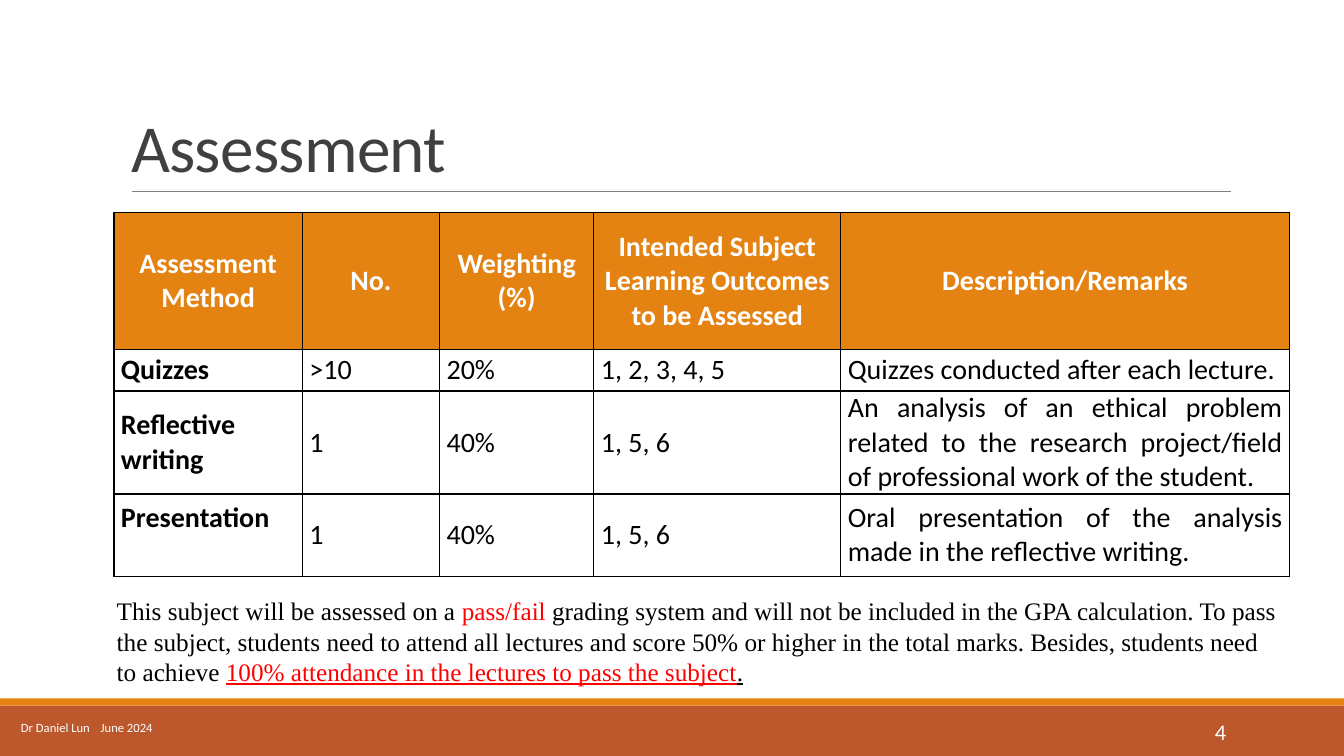
from lxml.etree import SubElement
from pptx import Presentation
from pptx.dml.color import RGBColor
from pptx.enum.shapes import MSO_CONNECTOR, MSO_SHAPE
from pptx.enum.text import MSO_ANCHOR, MSO_AUTO_SIZE, PP_ALIGN
from pptx.oxml.ns import qn
from pptx.util import Inches, Pt


def rgb(value):
    return RGBColor.from_string(value)


def style(r, size, color, font="Calibri", bold=False):
    r.font.size = Pt(size)
    r.font.name = font
    r.font.bold = bold
    r.font.color.rgb = rgb(color)


prs = Presentation()
prs.slide_width = Inches(13.33)
prs.slide_height = Inches(7.5)
s = prs.slides.add_slide(prs.slide_layouts[5])

for top, height, color in [(7, 0.5, "BD582C"), (6.93, 0.07, "E48312")]:
    sp = s.shapes.add_shape(MSO_SHAPE.RECTANGLE, 0, Inches(top), prs.slide_width, Inches(height))
    sp.shadow.inherit = False
    sp.fill.solid()
    sp.fill.fore_color.rgb = rgb(color)
    sp.line.fill.background()

rule = s.shapes.add_connector(MSO_CONNECTOR.STRAIGHT, Inches(1.31), Inches(1.9), Inches(12.21), Inches(1.9))
rule.line.color.rgb = rgb("808080")
rule.line.width = Pt(0.5)
SubElement(rule._element.spPr, qn("a:effectLst"))

title = s.shapes.title
title.left, title.top, title.width, title.height = [Inches(v) for v in (1.2, 0.31, 10.73, 1.59)]
tf = title.text_frame
tf.text = "Assessment"
tf.auto_size = MSO_AUTO_SIZE.NONE
tf.vertical_anchor = MSO_ANCHOR.BOTTOM
p = tf.paragraphs[0]
p.alignment = PP_ALIGN.LEFT
p.line_spacing = 0.85
style(p.runs[0], 48, "404040")
p.runs[0]._r.get_or_add_rPr().set("spc", "-50")

cols = [1.87, 1.36, 1.53, 2.45, 4.45]
rows = [1.36, 0.41, 1.02, 0.82]
data = [
    ["Assessment Method", "No.", "Weighting (%)",
     "Intended Subject Learning Outcomes to be Assessed", "Description/Remarks"],
    ["Quizzes", ">10", "20%", "1, 2, 3, 4, 5", "Quizzes conducted after each lecture."],
    ["Reflective writing", "1", "40%", "1, 5, 6",
     "An analysis of an ethical problem related to the research project/field "
     "of professional work of the student."],
    ["Presentation", "1", "40%", "1, 5, 6",
     "Oral presentation of the analysis made in the reflective writing."],
]
table = s.shapes.add_table(len(rows), len(cols), Inches(1.13), Inches(2.11),
                           Inches(sum(cols)), Inches(sum(rows))).table
table.first_row = False
table.horz_banding = False
for col, width in zip(table.columns, cols):
    col.width = Inches(width)
for row, height in zip(table.rows, rows):
    row.height = Inches(height)

for i, texts in enumerate(data):
    for j, text in enumerate(texts):
        cell = table.cell(i, j)
        cell.margin_left = cell.margin_right = Inches(0.07)
        cell.margin_top = cell.margin_bottom = 0
        cell.vertical_anchor = MSO_ANCHOR.MIDDLE
        tcPr = cell._tc.get_or_add_tcPr()
        for side in ("lnL", "lnR", "lnT", "lnB"):
            ln = SubElement(tcPr, qn(f"a:{side}"), w=str(Pt(1)))
            SubElement(SubElement(ln, qn("a:solidFill")), qn("a:srgbClr"), val="000000")
        if i == 0:
            cell.fill.solid()
            cell.fill.fore_color.rgb = rgb("E48312")
        else:
            cell.fill.background()
        cell.text_frame.text = text
        p = cell.text_frame.paragraphs[0]
        p.alignment = PP_ALIGN.CENTER if i == 0 else PP_ALIGN.JUSTIFY
        style(p.runs[0], 20, "FFFFFF" if i == 0 else "000000", bold=i == 0 or j == 0)

presentation = table.cell(3, 0)
presentation.vertical_anchor = MSO_ANCHOR.TOP
presentation.margin_top = Inches(0.07)

note = s.shapes.add_textbox(Inches(1.06), Inches(5.86), Inches(11.73), Inches(1.01))
tf = note.text_frame
tf.word_wrap = True
for text, color, underline in [
    ("This subject will be assessed on a ", "000000", False),
    ("pass/fail", "FF0000", False),
    (" grading system and will not be included in the GPA calculation. To pass the subject, "
     "students need to attend all lectures and score 50% or higher in the total marks. "
     "Besides, students need to achieve ", "000000", False),
    ("100% attendance in the lectures to pass the subject", "FF0000", True),
    (".", "000000", True),
]:
    r = tf.paragraphs[0].add_run()
    r.text = text
    style(r, 18, color, "Times New Roman")
    r.font.underline = underline

for text, left, top, width, size, align in [
    ("4", 10.83, 7.06, 1.43, 16, PP_ALIGN.RIGHT),
    ("Dr Daniel Lun\tJune 2024", 0.11, 7.02, 2.7, 9, PP_ALIGN.LEFT),
]:
    tf = s.shapes.add_textbox(Inches(left), Inches(top), Inches(width), Inches(0.4)).text_frame
    tf.word_wrap = True
    tf.vertical_anchor = MSO_ANCHOR.MIDDLE
    tf.text = text
    p = tf.paragraphs[0]
    p.alignment = align
    style(p.runs[0], size, "FFFFFF")

tabs = SubElement(p._p.get_or_add_pPr(), qn("a:tabLst"))
SubElement(tabs, qn("a:tab"), pos=str(Inches(0.79)), algn="l")

prs.save("out.pptx")
